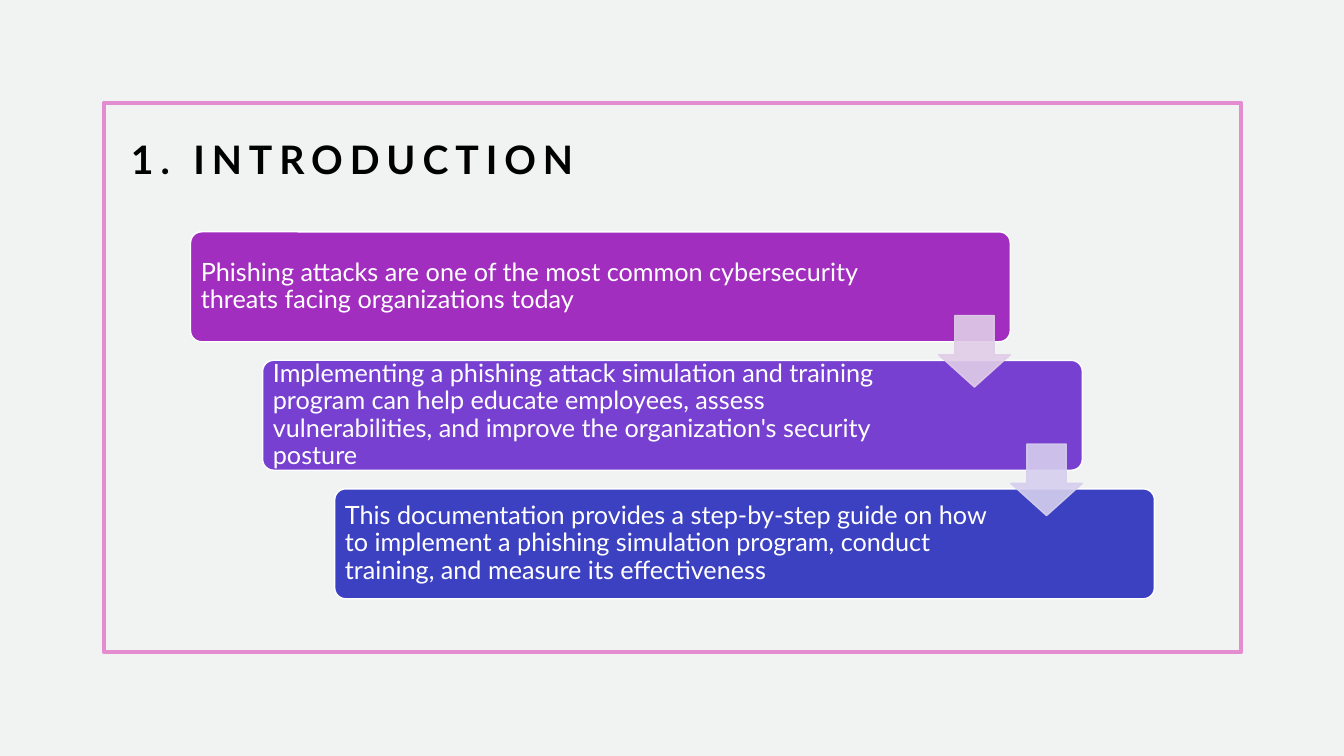
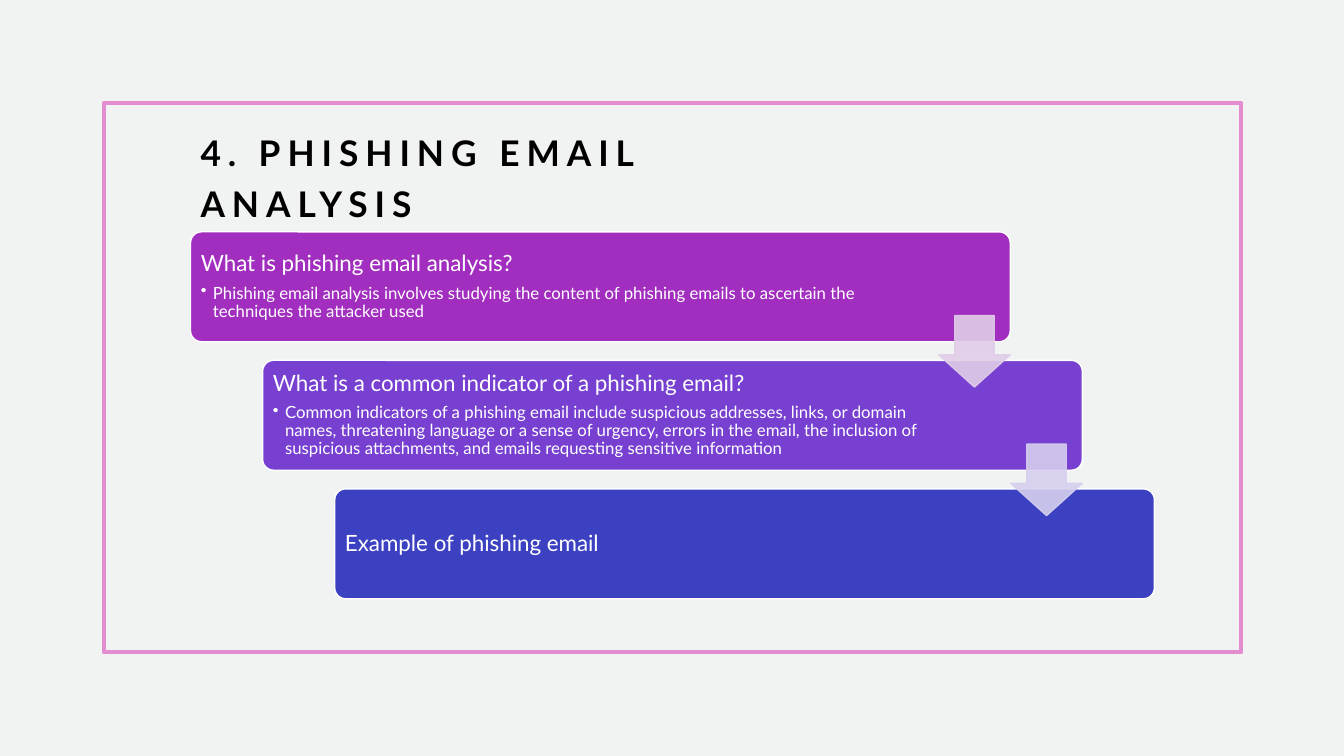
import pptx
import pptx.util
import pptx.dml.color
import pptx.enum.shapes
import pptx.enum.text
import pptx.oxml.ns
import lxml.etree
from dataclasses import dataclass

Inches = pptx.util.Inches
Pt = pptx.util.Pt
SHAPES = pptx.enum.shapes.MSO_SHAPE


@dataclass(frozen=True)
class Theme:
    font: str = "Lato"
    background: str = "F0F3F1"
    frame: str = "E38CD0"
    title: str = "000000"
    light: str = "FFFFFF"
    steps: tuple = ("A12EBE", "7740D0", "3C41C2")
    arrows: tuple = ("E0CDE8", "D6CFEE")
    arrow_opacity: int = 90
    detail_size: int = 12


THEME = Theme()

SLIDES = [
    {
        "title": "1. INTRODUCTION",
        "title_at": (1.2, 1.2, 4.79, 1.1),
        "title_size": 28,
        "step_size": 18,
        "steps": [
            ("Phishing attacks are one of the most common cybersecurity threats facing organizations today", None),
            ("Implementing a phishing attack simulation and training program can help educate employees, "
             "assess vulnerabilities, and improve the organization's security posture", None),
            ("This documentation provides a step-by-step guide on how to implement a phishing simulation program, "
             "conduct training, and measure its effectiveness", None),
        ],
    },
    {
        "title": "4. PHISHING EMAIL ANALYSIS",
        "title_at": (1.89, 1.17, 6.09, 0.82),
        "title_size": 25.2,
        "step_size": 16,
        "steps": [
            ("What is phishing email analysis?",
             "Phishing email analysis involves studying the content of phishing emails to ascertain "
             "the techniques the attacker used"),
            ("What is a common indicator of a phishing email?",
             "Common indicators of a phishing email include suspicious addresses, links, or domain names, "
             "threatening language or a sense of urgency, errors in the email, the inclusion of suspicious "
             "attachments, and emails requesting sensitive information"),
            ("Example of phishing email", None),
        ],
    },
]

FRAME = (1.03, 1.02, 11.28, 5.45)
STEP_LEFT, STEP_TOP, STEP_WIDTH, STEP_HEIGHT = 1.89, 2.3, 8.13, 1.09
SHIFT_X, SHIFT_Y = 0.715, 1.275
ARROW, ARROW_DROP = 0.71, 0.83
INSET, FIRST_RIGHT_INSET, RIGHT_INSET = 0.07, 1.19, 1.49
BULLET_INDENT = 0.12


def rgb(color):
    return pptx.dml.color.RGBColor.from_string(color)


def add_outline(slide, kind, at, fill, line, width):
    shape = slide.shapes.add_shape(kind, *map(Inches, at))
    shape.shadow.inherit = False
    if fill:
        shape.fill.solid()
        shape.fill.fore_color.rgb = rgb(fill)
    else:
        shape.fill.background()
    shape.line.color.rgb = rgb(line)
    shape.line.width = Pt(width)
    return shape


def style(paragraph, size, color, spacing, after=0, bold=False):
    paragraph.alignment = pptx.enum.text.PP_ALIGN.LEFT
    paragraph.line_spacing = spacing
    paragraph.space_after = Pt(after)
    font = paragraph.font
    font.name, font.size, font.bold = THEME.font, Pt(size), bold
    font.color.rgb = rgb(color)


def add_bullet(paragraph):
    properties = paragraph._p.get_or_add_pPr()
    properties.set("marL", str(Inches(BULLET_INDENT)))
    properties.set("indent", str(-Inches(BULLET_INDENT)))
    bullet = lxml.etree.SubElement(properties, pptx.oxml.ns.qn("a:buChar"))
    bullet.set("char", "•")


def add_title(slide, text, at, size):
    frame = slide.shapes.add_textbox(*map(Inches, at)).text_frame
    frame.word_wrap = True
    paragraph = frame.paragraphs[0]
    run = paragraph.add_run()
    run.text = text
    run._r.get_or_add_rPr().set("spc", "500")
    style(paragraph, size, THEME.title, 1.2, bold=True)


def step_origin(index):
    return STEP_LEFT + index * SHIFT_X, STEP_TOP + index * SHIFT_Y


def add_step(slide, index, heading, detail, size):
    at = (*step_origin(index), STEP_WIDTH, STEP_HEIGHT)
    step = add_outline(slide, SHAPES.ROUNDED_RECTANGLE, at, THEME.steps[index], THEME.light, 1)
    step.adjustments[0] = 0.1
    frame = step.text_frame
    frame.word_wrap = True
    frame.vertical_anchor = pptx.enum.text.MSO_ANCHOR.MIDDLE
    frame.margin_left = frame.margin_top = frame.margin_bottom = Inches(INSET)
    frame.margin_right = Inches(RIGHT_INSET if index else FIRST_RIGHT_INSET)
    paragraph = frame.paragraphs[0]
    paragraph.text = heading
    style(paragraph, size, THEME.light, 0.9, after=0.35 * size)
    if detail:
        paragraph = frame.add_paragraph()
        paragraph.text = detail
        paragraph.level = 1
        add_bullet(paragraph)
        style(paragraph, THEME.detail_size, THEME.light, 0.9, after=0.15 * THEME.detail_size)


def add_arrow(slide, index, color):
    left, top = step_origin(index)
    at = (left + STEP_WIDTH - ARROW, top + ARROW_DROP, ARROW, ARROW)
    arrow = add_outline(slide, SHAPES.DOWN_ARROW, at, color, color, 1)
    arrow.adjustments[0] = 0.55
    arrow.adjustments[1] = 0.45
    for tint in arrow._element.spPr.iter(pptx.oxml.ns.qn("a:srgbClr")):
        alpha = lxml.etree.SubElement(tint, pptx.oxml.ns.qn("a:alpha"))
        alpha.set("val", str(THEME.arrow_opacity * 1000))


def build_slide(deck, content):
    slide = deck.slides.add_slide(deck.slide_layouts[6])
    slide.background.fill.solid()
    slide.background.fill.fore_color.rgb = rgb(THEME.background)
    add_outline(slide, SHAPES.RECTANGLE, FRAME, None, THEME.frame, 3)
    add_title(slide, content["title"], content["title_at"], content["title_size"])
    for index, (heading, detail) in enumerate(content["steps"]):
        add_step(slide, index, heading, detail, content["step_size"])
    for index, color in enumerate(THEME.arrows):
        add_arrow(slide, index, color)


def main():
    deck = pptx.Presentation()
    deck.slide_width, deck.slide_height = Inches(13.33), Inches(7.5)
    for content in SLIDES:
        build_slide(deck, content)
    deck.save("out.pptx")


if __name__ == "__main__":
    main()
